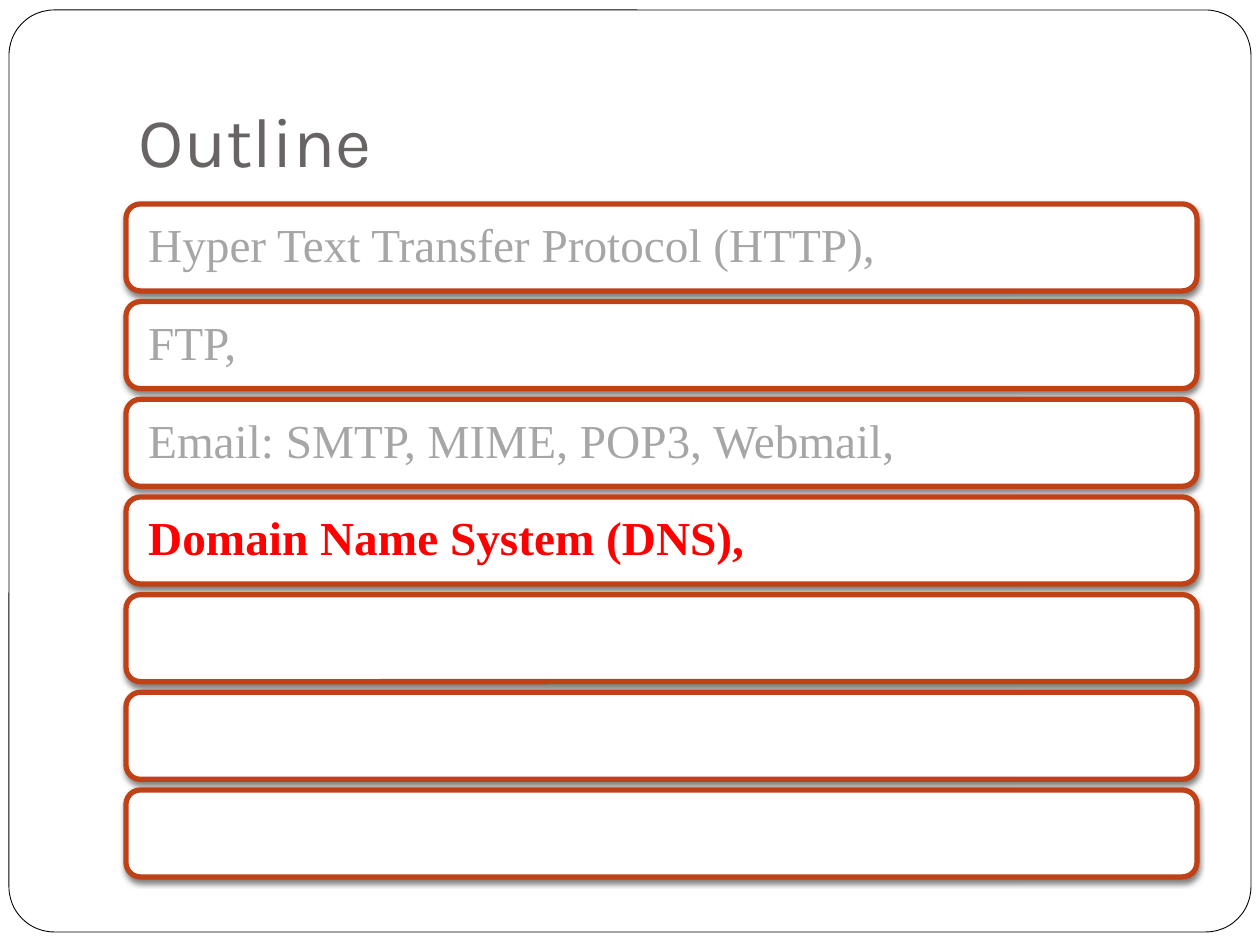
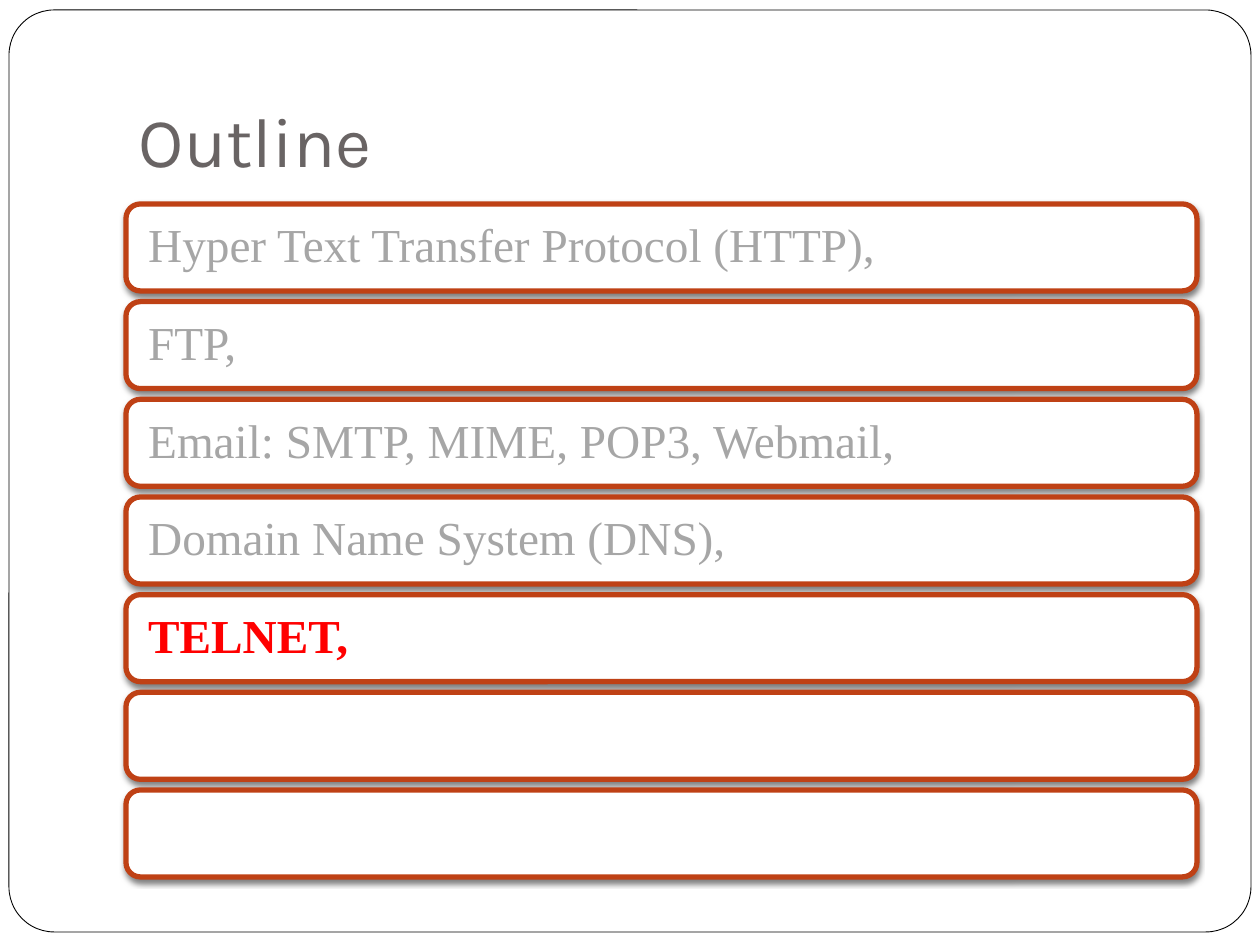
from lxml.etree import SubElement
from pptx import Presentation
from pptx.dml.color import RGBColor
from pptx.enum.shapes import MSO_SHAPE as Shape
from pptx.enum.text import MSO_ANCHOR as Anchor, MSO_AUTO_SIZE as AutoSize, PP_ALIGN as Align
from pptx.oxml.ns import qn
from pptx.util import Pt

EMU_PER_PX = 914400 / 126
WHITE, BLACK = "FFFFFF", "000000"
TITLE_GREY, BORDER_RUST = "696464", "BF4115"
MUTED, ACTIVE = "A6A6A6", "FF0000"
TITLE_FONT, TOPIC_FONT = "Karla", "Times New Roman"

ROW_COUNT = 7
LEFT, WIDTH = 126, 1071
FIRST_TOP, LAST_TOP, ROW_HEIGHT = 204, 790, 87

TOPICS = [
    "Hyper Text Transfer Protocol (HTTP),",
    "FTP,",
    "Email: SMTP, MIME, POP3, Webmail,",
    "Domain Name System (DNS),",
    "TELNET,",
]


def px(length):
    """Turn a length in px into EMU."""
    return round(length * EMU_PER_PX)


def color(value):
    """Turn a hex string into a colour."""
    return RGBColor.from_string(value)


def add_rounded_box(slide, left, top, width, height, line_color, line_width):
    """Add a white rounded rectangle without a shadow."""
    shape = slide.shapes.add_shape(
        Shape.ROUNDED_RECTANGLE, px(left), px(top), px(width), px(height))
    shape.shadow.inherit = False
    shape.fill.solid()
    shape.fill.fore_color.rgb = color(WHITE)
    shape.line.color.rgb = color(line_color)
    shape.line.width = Pt(line_width)
    return shape


def add_drop_shadow(shape):
    """Give a shape a soft shadow straight below it."""
    effects = shape.element.spPr.find(qn("a:effectLst"))
    shadow = SubElement(effects, qn("a:outerShdw"), blurRad=str(Pt(3)),
                        dist=str(Pt(2)), dir="5400000", rotWithShape="0")
    shade = SubElement(shadow, qn("a:srgbClr"), val=BLACK)
    SubElement(shade, qn("a:alpha"), val="50000")


def set_frame(text_frame, anchor, left, top, right, bottom):
    """Set the anchor and the insets of a text frame."""
    text_frame.word_wrap = True
    text_frame.auto_size = AutoSize.NONE
    text_frame.vertical_anchor = anchor
    text_frame.margin_left, text_frame.margin_top = px(left), px(top)
    text_frame.margin_right, text_frame.margin_bottom = px(right), px(bottom)


def add_run(paragraph, text, font_name, size, text_color, bold=False):
    """Add one formatted run to a left-aligned paragraph."""
    paragraph.alignment = Align.LEFT
    run = paragraph.add_run()
    run.text = text
    run.font.name = font_name
    run.font.size = Pt(size)
    run.font.bold = bold
    run.font.color.rgb = color(text_color)


def add_title(slide, text):
    """Place and format the slide title."""
    title = slide.shapes.title
    title.left, title.top = px(LEFT), px(38)
    title.width, title.height = px(WIDTH), px(157)
    set_frame(title.text_frame, Anchor.BOTTOM, 13, 6, 13, 13)
    add_run(title.text_frame.paragraphs[0], text, TITLE_FONT, 40, TITLE_GREY)


def add_topic_row(slide, index, topic, active):
    """Add one outline row, with its topic if it has been reached."""
    top = FIRST_TOP + index * (LAST_TOP - FIRST_TOP) / (ROW_COUNT - 1)
    row = add_rounded_box(slide, LEFT, top, WIDTH, ROW_HEIGHT, BORDER_RUST, 3)
    add_drop_shadow(row)
    if topic:
        set_frame(row.text_frame, Anchor.MIDDLE, 18, 18, 18, 18)
        paragraph = row.text_frame.paragraphs[0]
        paragraph.line_spacing = 0.9
        add_run(paragraph, topic, TOPIC_FONT, 27, ACTIVE if active else MUTED, active)


def add_page_frame(layout, slide):
    """Put the rounded page frame behind everything on the layout."""
    frame = add_rounded_box(slide, 9, 10, 1242, 922, BLACK, 0.5)
    frame.adjustments[0] = 0.049
    layout.placeholders[0].element.addprevious(frame.element)


def build_outline(slide, reached):
    """Fill a slide with the outline up to the topic reached."""
    add_title(slide, "Outline")
    for index in range(ROW_COUNT):
        topic = TOPICS[index] if index < reached else ""
        add_topic_row(slide, index, topic, index == reached - 1)


def main():
    """Build the two outline slides."""
    presentation = Presentation()
    presentation.slide_width, presentation.slide_height = px(1260), px(945)
    layout = presentation.slide_layouts[5]
    slides = [presentation.slides.add_slide(layout) for _ in range(2)]
    add_page_frame(layout, slides[0])
    for slide, reached in zip(slides, (4, 5)):
        build_outline(slide, reached)
    presentation.save("out.pptx")


if __name__ == "__main__":
    main()
